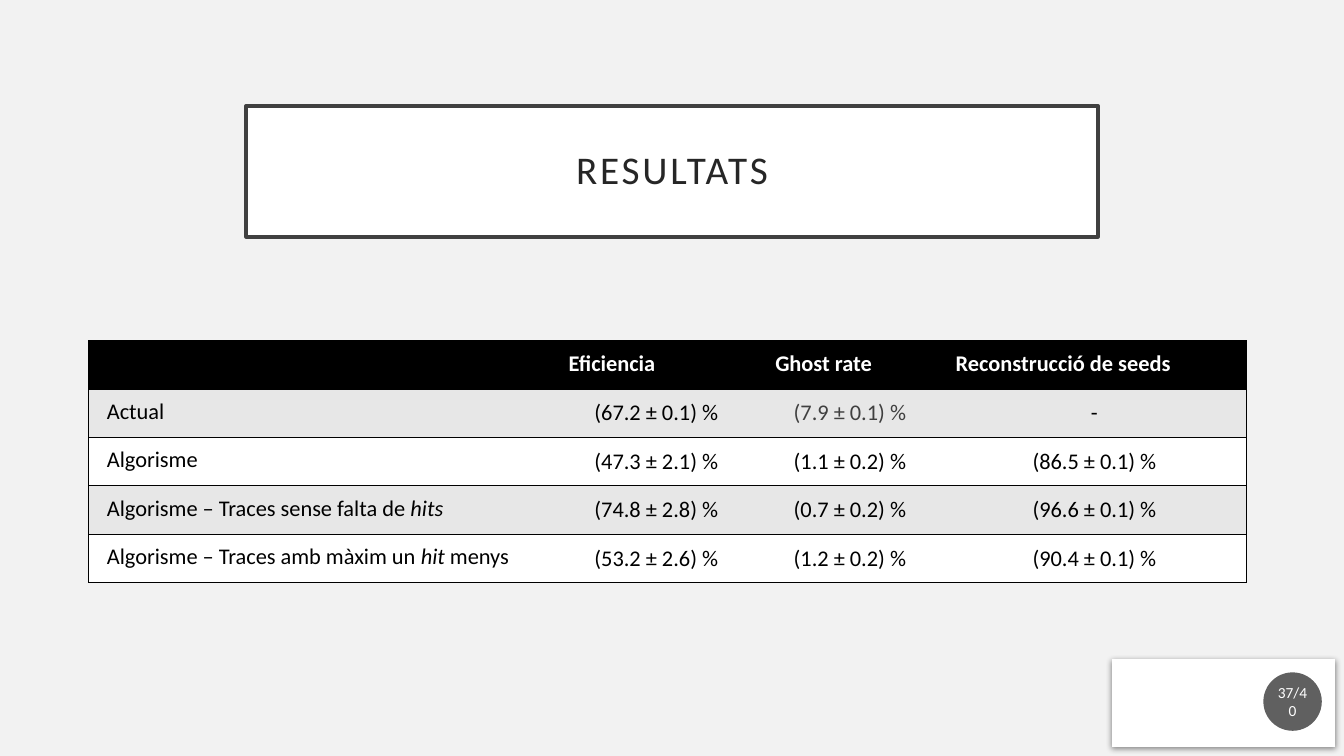
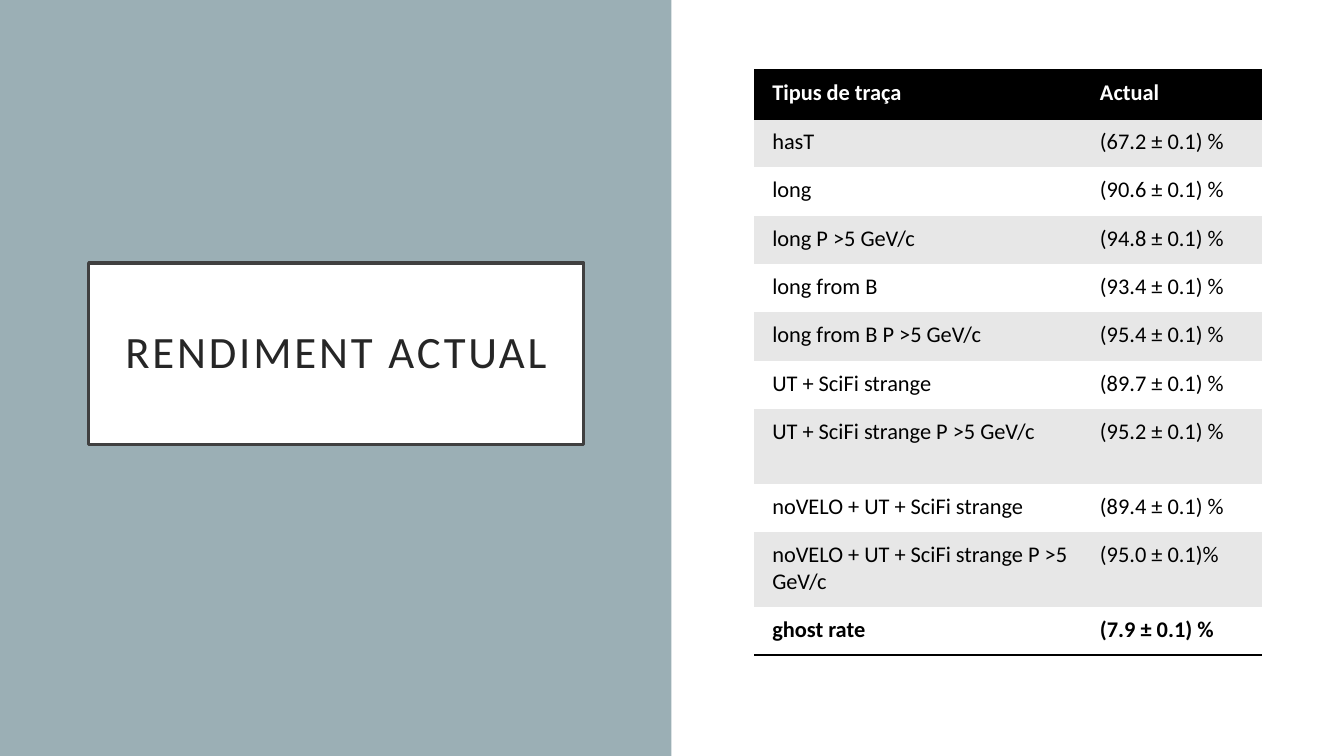
from dataclasses import dataclass

from lxml import etree
from pptx import Presentation
from pptx.dml.color import RGBColor
from pptx.enum import shapes, text
from pptx.oxml import ns
from pptx.util import Inches, Pt


@dataclass(frozen=True)
class Theme:
    font: str = "Calibri"
    page: str = "F2F2F2"
    white: str = "FFFFFF"
    black: str = "000000"
    band: str = "E7E7E7"
    panel: str = "9BAFB5"
    frame: str = "404040"
    title: str = "262626"
    badge: str = "1D1D1D"
    title_size: int = 28
    big_title_size: int = 32
    body_size: int = 16
    badge_size: int = 11


THEME = Theme()
NO_GRID_STYLE = "{2D5ABB26-0587-4C30-8999-92F81FD0307C}"
CELL_INSETS = (0.18, 0.09, 0.13, 0.09)
LEFT, CENTER = text.PP_ALIGN.LEFT, text.PP_ALIGN.CENTER
TOP, MIDDLE = text.MSO_ANCHOR.TOP, text.MSO_ANCHOR.MIDDLE


def add_xml(parent, tag, **attrs):
    return etree.SubElement(parent, ns.qn(tag), {k: str(v) for k, v in attrs.items()})


def add_color(parent, color, alpha=None):
    """Append an RGB colour, with alpha as a percentage of opacity."""
    clr = add_xml(parent, "a:srgbClr", val=color)
    if alpha is not None:
        add_xml(clr, "a:alpha", val=alpha * 1000)


def set_insets(target, insets):
    (target.margin_left, target.margin_top,
     target.margin_right, target.margin_bottom) = map(Inches, insets)


class Deck:
    def __init__(self, theme):
        self.theme = theme
        self.prs = Presentation()
        self.prs.slide_width, self.prs.slide_height = Inches(13.33), Inches(7.5)
        self.slide = None

    def new_slide(self, background):
        self.slide = self.prs.slides.add_slide(self.prs.slide_layouts[6])
        fill = self.slide.background.fill
        fill.solid()
        fill.fore_color.rgb = RGBColor.from_string(background)

    def add_runs(self, p, content, size, color, bold=False):
        """Add runs to a paragraph; parts between asterisks are italic."""
        for i, part in enumerate(content.split("*")):
            if part:
                r = p.add_run()
                r.text = part
                font = r.font
                font.name, font.size = self.theme.font, Pt(size)
                font.bold, font.italic = bold, i % 2 == 1
                font.color.rgb = RGBColor.from_string(color)

    def shape(self, at, fill, kind=shapes.MSO_SHAPE.RECTANGLE, line=None):
        sp = self.slide.shapes.add_shape(kind, *map(Inches, at))
        sp.shadow.inherit = False
        sp.fill.solid()
        sp.fill.fore_color.rgb = RGBColor.from_string(fill)
        if line:
            sp.line.color.rgb = RGBColor.from_string(line)
            sp.line.width = Pt(2.5)
        else:
            sp.line.fill.background()
        return sp

    def label(self, sp, content, size, color, insets):
        """Set centred text in a shape and return its paragraph."""
        tf = sp.text_frame
        tf.word_wrap = True
        tf.vertical_anchor = MIDDLE
        set_insets(tf, insets)
        p = tf.paragraphs[0]
        p.alignment = CENTER
        self.add_runs(p, content, size, color)
        return p

    def title(self, content, at, size, side_inset):
        t = self.theme
        sp = self.shape(at, t.white, line=t.frame)
        p = self.label(sp, content, size, t.title, (side_inset, 0.2) * 2)
        p.line_spacing = 0.9
        for run_props in sp.element.xpath(".//a:rPr"):
            run_props.set("spc", "200")

    def page_badge(self, content):
        t = self.theme
        card = self.shape((11.03, 6.54, 2.21, 0.87), t.white)
        effects = card.element.spPr.find(ns.qn("a:effectLst"))
        shadow = add_xml(effects, "a:outerShdw", blurRad=Pt(4.4), dist=Pt(1.2),
                         dir=90 * 60000, algn="t", rotWithShape=0)
        add_color(shadow, t.black, 45)
        badge = self.shape((12.53, 6.67, 0.58, 0.58), t.badge, shapes.MSO_SHAPE.OVAL)
        solid = badge.element.spPr.find(ns.qn("a:solidFill"))
        add_xml(solid[0], "a:alpha", val=70000)
        self.label(badge, content, t.badge_size, t.white, (0.03, 0.05) * 2)

    def borders(self, tc, sides, width):
        tc_pr = tc.get_or_add_tcPr()
        for side in "LRTB":
            if side in sides:
                ln = add_xml(tc_pr, f"a:ln{side}", w=Pt(width))
                add_color(add_xml(ln, "a:solidFill"), self.theme.black)

    def table(self, at, cols, heights, rows, sides, width,
              centred=False, bold_rows=(0,), muted=()):
        """Draw a banded table; sides(row, col) names the ruled cell edges."""
        t = self.theme
        frame = self.slide.shapes.add_table(
            len(rows), len(cols), *map(Inches, (*at, sum(cols), sum(heights))))
        frame.element.xpath(".//a:tableStyleId")[0].text = NO_GRID_STYLE
        table = frame.table
        for column, col_width in zip(table.columns, cols):
            column.width = Inches(col_width)
        for row, height in zip(table.rows, heights):
            row.height = Inches(height)
        for i, tc in enumerate(frame.element.xpath(".//a:tc")):
            row, col = divmod(i, len(cols))
            cell, content = table.cell(row, col), rows[row][col]
            self.borders(tc, sides(row, col), width)
            cell.fill.solid()
            fill = t.black if row == 0 else (t.white, t.band)[row % 2]
            cell.fill.fore_color.rgb = RGBColor.from_string(fill)
            if not content:
                continue
            set_insets(cell, CELL_INSETS)
            middle = centred and row > 0 and col > 0
            cell.vertical_anchor = MIDDLE if middle else TOP
            p = cell.text_frame.paragraphs[0]
            p.alignment = CENTER if middle else LEFT
            color = t.white if row == 0 else t.frame if (row, col) in muted else t.black
            self.add_runs(p, content, t.body_size, color, row in bold_rows)


RESULTS = [
    ("", "Eficiencia", "Ghost rate", "Reconstrucció de seeds"),
    ("Actual", "(67.2 ± 0.1) %", "(7.9 ± 0.1) %", "-"),
    ("Algorisme", "(47.3 ± 2.1) %", "(1.1 ± 0.2) %", "(86.5 ± 0.1) %"),
    ("Algorisme – Traces sense falta de *hits*",
     "(74.8 ± 2.8) %", "(0.7 ± 0.2) %", "(96.6 ± 0.1) %"),
    ("Algorisme – Traces amb màxim un *hit* menys",
     "(53.2 ± 2.6) %", "(1.2 ± 0.2) %", "(90.4 ± 0.1) %"),
]

PERFORMANCE = [
    ("Tipus de traça", "Actual"),
    ("hasT", "(67.2 ± 0.1) %"),
    ("long", "(90.6 ± 0.1) %"),
    ("long P >5 GeV/c", "(94.8 ± 0.1) %"),
    ("long from B", "(93.4 ± 0.1) %"),
    ("long from B P >5 GeV/c", "(95.4 ± 0.1) %"),
    ("UT + SciFi strange", "(89.7 ± 0.1) %"),
    ("UT + SciFi strange P >5 GeV/c", "(95.2 ± 0.1) %"),
    ("noVELO + UT + SciFi strange", "(89.4 ± 0.1) %"),
    ("noVELO + UT + SciFi strange P >5 GeV/c", "(95.0 ± 0.1)%"),
    ("ghost rate", "(7.9 ± 0.1) %"),
]


def results_slide(deck):
    def sides(row, col):
        return "TB" + {0: "L", 3: "R"}.get(col, "")

    deck.new_slide(THEME.page)
    deck.title("RESULTATS", (2.44, 1.05, 8.45, 1.3), THEME.title_size, 0.2)
    deck.table((0.88, 3.38), (4.58, 2.05, 1.79, 3.06), [0.48] * len(RESULTS),
               RESULTS, sides, 1, centred=True, muted={(1, 2)})
    deck.page_badge("37/40")


def performance_slide(deck):
    last = len(PERFORMANCE) - 1
    tall_rows = (7, 9)

    def sides(row, col):
        return {0: "TB", last: "B"}.get(row, "")

    deck.new_slide(THEME.white)
    deck.shape((0, 0, 6.66, 7.5), THEME.panel)
    deck.title("RENDIMENT ACTUAL", (0.88, 2.61, 4.91, 1.8), THEME.big_title_size, 0.3)
    heights = [0.74 if row in tall_rows else 0.48 for row in range(last + 1)]
    deck.table((7.48, 0.7), (3.25, 1.79), heights, PERFORMANCE, sides, 2,
               bold_rows=(0, last))


def main():
    deck = Deck(THEME)
    results_slide(deck)
    performance_slide(deck)
    deck.prs.save("out.pptx")


if __name__ == "__main__":
    main()
